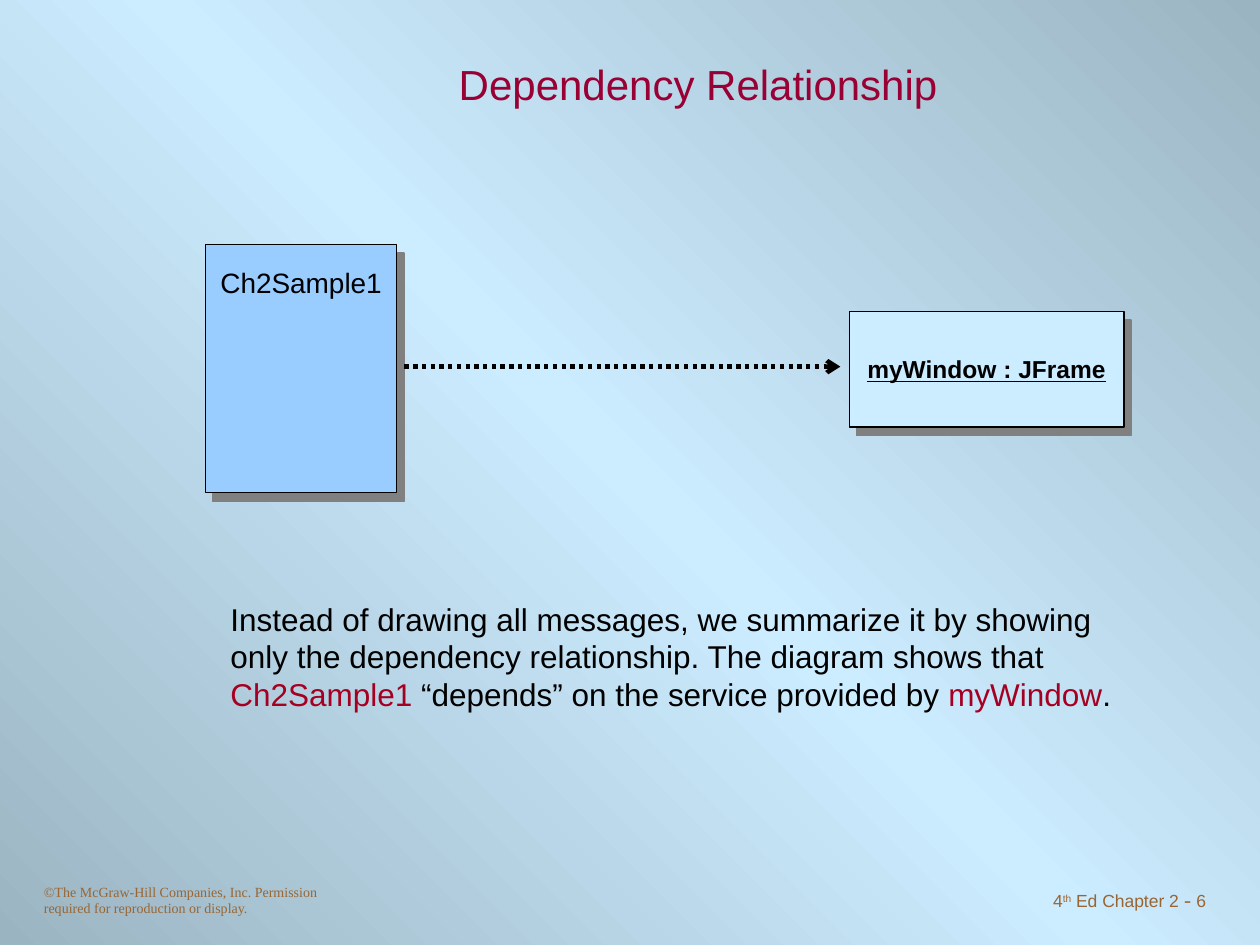
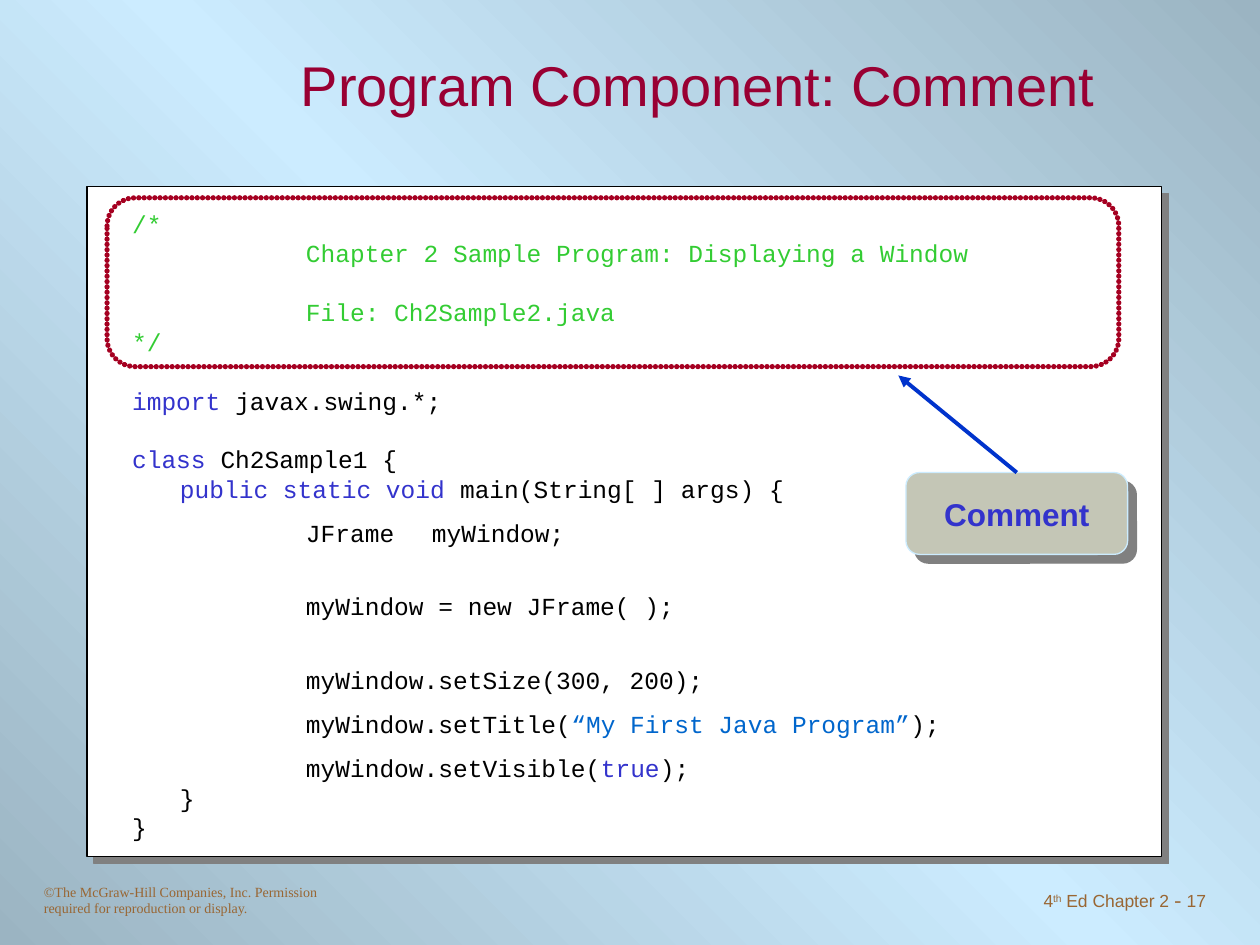
import copy
from dataclasses import dataclass

import pptx
import pptx.dml.color
import pptx.enum.dml
import pptx.enum.shapes
import pptx.enum.text
import pptx.oxml.ns
import pptx.util
from lxml import etree

Inches = pptx.util.Inches
Pt = pptx.util.Pt
qn = pptx.oxml.ns.qn
SHAPE = pptx.enum.shapes.MSO_SHAPE
ALIGN = pptx.enum.text.PP_ALIGN
ANCHOR = pptx.enum.text.MSO_ANCHOR
DASH = pptx.enum.dml.MSO_LINE


@dataclass(frozen=True)
class Theme:
    sans: str = "Arial"
    serif: str = "Times New Roman"
    mono: str = "Courier New"
    bg_edge: str = "9BB4C2"
    pale: str = "CCECFF"
    sky: str = "99CCFF"
    white: str = "FFFFFF"
    black: str = "000000"
    shadow: str = "808080"
    title: str = "990033"
    accent: str = "A50021"
    footer: str = "996633"
    keyword: str = "3333CC"
    comment: str = "33CC33"
    string: str = "0066CC"
    callout: str = "C4C6B6"
    arrow: str = "0033CC"
    copyright_size: int = 8
    footer_size: int = 10
    dash_size: int = 12
    code_size: int = 14
    object_size: int = 14
    class_size: int = 16
    body_size: int = 18
    code_line: float = 16.8


def rgb(value):
    return pptx.dml.color.RGBColor.from_string(value)


class Deck:
    def __init__(self, theme):
        self.theme = theme
        self.prs = pptx.Presentation()
        self.prs.slide_width, self.prs.slide_height = Inches(10), Inches(7.5)
        self.s = None

    def slide(self, title, title_size, number):
        t = self.theme
        self.s = self.prs.slides.add_slide(self.prs.slide_layouts[6])
        self.background()
        self.text(0.25, 6.96, 2.5, 0.36, [[(
            "©The McGraw-Hill Companies, Inc. Permission required for reproduction or display.", {})]],
            size=t.copyright_size, name=t.serif, color=t.footer)
        self.text(7.5, 6.99, 2.17, 0.34, [[
            ("4", {}), ("th", {"baseline": 30000}), (" Ed Chapter 2", {}),
            (" - ", {"size": t.dash_size, "name": t.serif}), (str(number), {})]],
            align=ALIGN.RIGHT, size=t.footer_size, color=t.footer)
        self.text(1.5, 0.25, 8.08, 0.83, [[(title, {})]], align=ALIGN.CENTER,
                  anchor=ANCHOR.MIDDLE, size=title_size, color=t.title)

    def background(self):
        fill = self.s.background.fill
        fill.gradient()
        fill.gradient_angle = 45
        stops = self.s._element.find(".//" + qn("a:gsLst"))
        stops.insert(1, copy.deepcopy(stops[0]))
        colors = (self.theme.bg_edge, self.theme.pale, self.theme.bg_edge)
        for stop, position, color in zip(fill.gradient_stops, (0, 0.5, 1), colors):
            stop.position = position
            stop.color.rgb = rgb(color)

    def font(self, font, size=None, name=None, color=None, bold=None, underline=None):
        if size:
            font.size = Pt(size)
        if name:
            font.name = name
        if color:
            font.color.rgb = rgb(color)
        if bold:
            font.bold = True
        if underline:
            font.underline = True

    def paragraph(self, p, runs, align=ALIGN.LEFT, **style):
        p.alignment = align
        self.font(p.font, **{"name": self.theme.sans, "color": self.theme.black, **style})
        for text, own in runs:
            r = p.add_run()
            r.text = text
            own = dict(own)
            baseline = own.pop("baseline", None)
            self.font(r.font, **own)
            if baseline:
                r._r.get_or_add_rPr().set("baseline", str(baseline))

    def fill_frame(self, tf, paragraphs, wrap=True, anchor=ANCHOR.TOP, **style):
        tf.word_wrap = wrap
        tf.vertical_anchor = anchor
        for i, runs in enumerate(paragraphs):
            p = tf.paragraphs[0] if i == 0 else tf.add_paragraph()
            self.paragraph(p, runs, **style)

    def text(self, x, y, w, h, paragraphs, **style):
        sp = self.s.shapes.add_textbox(Inches(x), Inches(y), Inches(w), Inches(h))
        self.fill_frame(sp.text_frame, paragraphs, **style)
        return sp

    def box(self, x, y, w, h, fill=None, line=None, width=0.75,
            kind=SHAPE.RECTANGLE, shadow=None):
        sp = self.s.shapes.add_shape(kind, Inches(x), Inches(y), Inches(w), Inches(h))
        sp.shadow.inherit = False
        if fill:
            sp.fill.solid()
            sp.fill.fore_color.rgb = rgb(fill)
        else:
            sp.fill.background()
        sp.line.color.rgb = rgb(line or self.theme.black)
        sp.line.width = Pt(width)
        if shadow:
            self.shadow(sp, *shadow)
        return sp

    def shadow(self, sp, distance, angle):
        effects = sp._element.spPr.find(qn("a:effectLst"))
        outer = etree.SubElement(effects, qn("a:outerShdw"), dist=str(Pt(distance)),
                                 dir=str(angle * 60000), algn="ctr", rotWithShape="0")
        etree.SubElement(outer, qn("a:srgbClr"), val=self.theme.shadow)

    def round_dots(self, sp):
        ln = sp.line._get_or_add_ln()
        ln.set("cap", "rnd")
        dash = etree.Element(qn("a:custDash"))
        etree.SubElement(dash, qn("a:ds"), d="100000", sp="1000")
        ln.find(qn("a:solidFill")).addnext(dash)

    def arrow(self, start, end, color, width, head, dash=None):
        c = self.s.shapes.add_connector(pptx.enum.shapes.MSO_CONNECTOR.STRAIGHT,
                                        *(Inches(v) for v in start + end))
        c.line.color.rgb = rgb(color)
        c.line.width = Pt(width)
        if dash:
            c.line.dash_style = dash
        etree.SubElement(c.line._get_or_add_ln(), qn("a:tailEnd"), type=head)
        etree.SubElement(c._element.spPr, qn("a:effectLst"))
        return c

    def code(self, x, y, w, h, lines):
        t = self.theme
        sp = self.text(x, y, w, h, [runs for _, _, _, runs in lines],
                       size=t.code_size, name=t.mono)
        for p, (indent, spacing, blanks, _) in zip(sp.text_frame.paragraphs, lines):
            p._p.get_or_add_pPr().set("marL", str(Inches(indent)))
            p.line_spacing = Pt(t.code_line * spacing)
            if blanks:
                p.space_before = Pt(t.code_line * blanks)


def dependency_slide(deck):
    t = deck.theme
    deck.slide("Dependency Relationship", 24, 6)
    shadow = (6.4, 51)
    window = deck.box(6.74, 2.47, 2.18, 0.92, t.pale, shadow=shadow)
    deck.fill_frame(window.text_frame, [[("myWindow : JFrame", {})]], wrap=False,
                    anchor=ANCHOR.MIDDLE, align=ALIGN.CENTER,
                    size=t.object_size, bold=True, underline=True)
    sample = deck.box(1.63, 1.94, 1.52, 1.97, t.sky, shadow=shadow)
    sample.text_frame.margin_top = Inches(0.17)
    deck.fill_frame(sample.text_frame, [[("Ch2Sample1", {})]], wrap=False,
                    align=ALIGN.CENTER, size=t.class_size)
    deck.arrow((3.21, 2.91), (6.67, 2.91), t.black, 2.5, "arrow", DASH.ROUND_DOT)
    name = {"color": t.accent}
    deck.text(1.73, 4.71, 7.19, 1, [
        [("Instead of drawing all messages, we summarize it by showing", {})],
        [("only the dependency relationship. The diagram shows that", {})],
        [("Ch2Sample1", name), (" “depends” on the service provided by ", {}),
         ("myWindow", name), (".", {})],
    ], wrap=False, size=t.body_size)


def comment_slide(deck):
    t = deck.theme
    deck.slide("Program Component: Comment", 32, 17)
    deck.box(0.69, 1.48, 8.53, 5.32, t.white, shadow=(5.7, 45))
    note, keyword, string = ({"color": c} for c in (t.comment, t.keyword, t.string))
    outer, member, body = 0, 0.38, 1.38
    deck.code(0.95, 1.61, 7.69, 5.12, [
        (outer, 1, 0, [("/*", note)]),
        (body, 1, 0, [("Chapter 2 Sample Program: Displaying a Window", note)]),
        (body, 1, 1, [("File: Ch2Sample2.java", note)]),
        (outer, 1, 0, [("*/", note)]),
        (outer, 1, 1, [("import", keyword), (" javax.swing.*;", {})]),
        (outer, 1, 1, [("class", keyword), (" Ch2Sample1 {", {})]),
        (member, 1, 0, [("public static void", keyword), (" main(String[ ] args) {", {})]),
        (body, 1.5, 0, [("JFrame\tmyWindow;", {})]),
        (body, 2.5, 0, [("myWindow = new JFrame( );", {})]),
        (body, 2.5, 0, [("myWindow.setSize(300, 200);", {})]),
        (body, 1.5, 0, [("myWindow.setTitle(", {}), ("“My First Java Program”", string),
                        (");", {})]),
        (body, 1.5, 0, [("myWindow.setVisible(", {}), ("true", keyword), (");", {})]),
        (member, 1, 0, [("}", {})]),
        (outer, 1, 0, [("}", {})]),
    ])
    outline = deck.box(0.85, 1.57, 8.03, 1.34, line=t.accent, width=3,
                       kind=SHAPE.ROUNDED_RECTANGLE)
    deck.round_dots(outline)
    callout = deck.box(7.19, 3.75, 1.76, 0.65, t.callout, t.pale,
                       kind=SHAPE.ROUNDED_RECTANGLE, shadow=(7.1, 45))
    deck.fill_frame(callout.text_frame, [[("Comment", {})]], anchor=ANCHOR.MIDDLE,
                    align=ALIGN.CENTER, size=t.body_size, color=t.keyword, bold=True)
    pointer = deck.arrow((8.07, 3.75), (7.13, 2.98), t.arrow, 2.25, "triangle")
    pointer.begin_connect(callout, 0)


def main():
    deck = Deck(Theme())
    dependency_slide(deck)
    comment_slide(deck)
    deck.prs.save("out.pptx")


if __name__ == "__main__":
    main()
